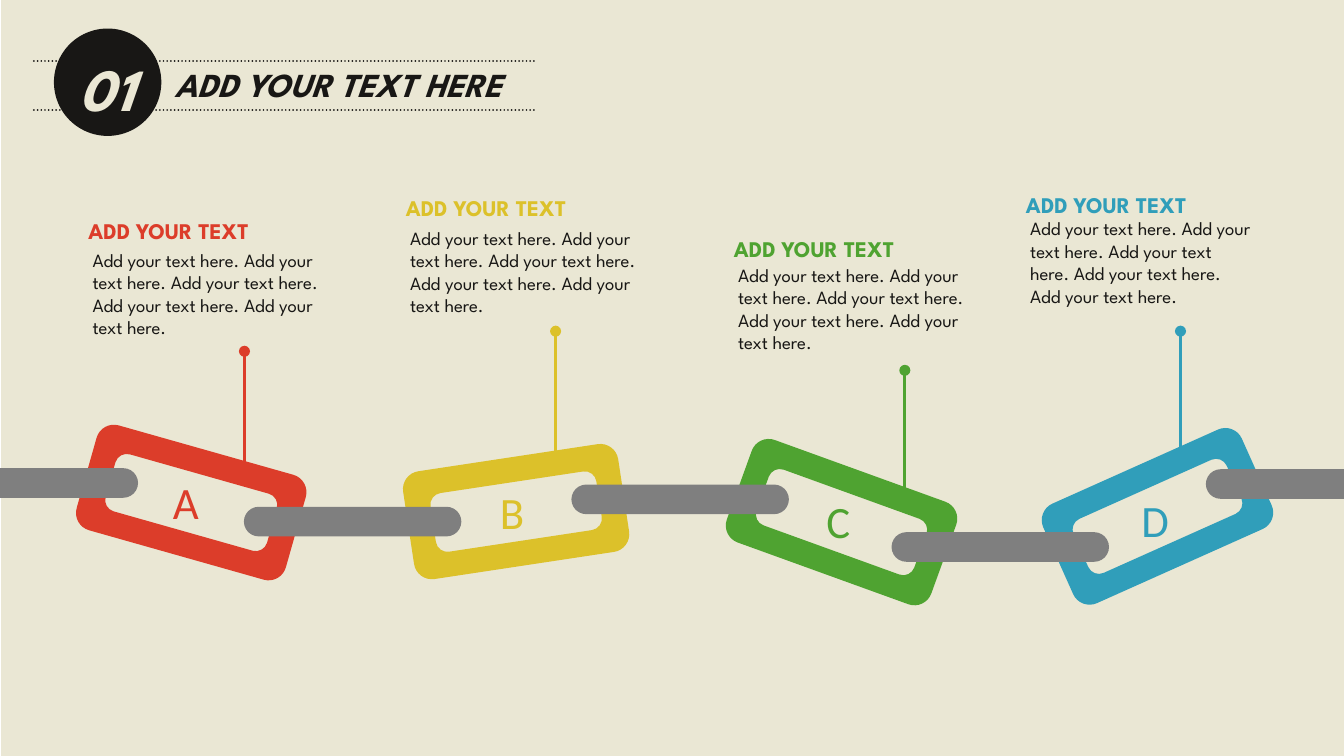
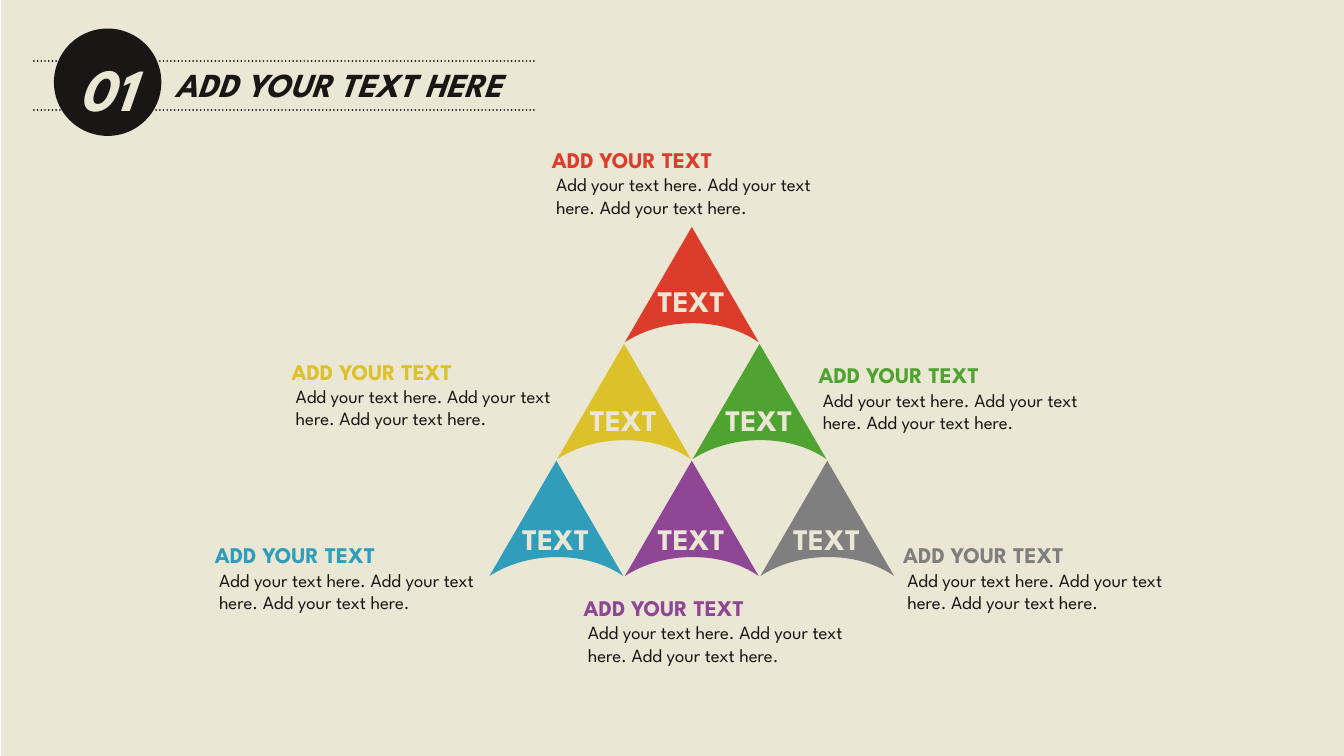
from lxml import etree
from pptx import Presentation
from pptx import util as u
from pptx.dml.color import RGBColor
from pptx.enum import dml, shapes, text
from pptx.oxml import ns

COLORS = {
    "paper": "EAE7D4", "ink": "181715", "red": "DC3D2A", "yellow": "DCC12A",
    "green": "4FA331", "blue": "309EBA", "purple": "8F4695", "grey": "7F7F7F",
}
SLIDE_SIZE = (25.4, 14.29)
SENTENCE = "Add your text here."

LINK_SIZE = (4.11, 2.06)
LINK_THICKNESS = 0.47
BAR_SIZE = (4.11, 0.56)
PIN_LENGTH = 2.39
# letter, colour, link position, rotation, letter position, pin top, heading position, body top and width
LINKS = [
    ("A", "red", (1.56, 8.47), 15.8, (3.02, 8.84), (4.62, 6.64), (1.42, 3.98), 4.58, 5.26),
    ("B", "yellow", (7.7, 8.64), 351.4, (9.2, 9.03), (10.5, 6.26), (7.42, 3.55), 4.16, 5.16),
    ("C", "green", (13.85, 8.84), 19.9, (15.37, 9.21), (17.1, 7), (13.62, 4.32), 4.86, 5.21),
    ("D", "blue", (19.82, 8.73), 335.9, (21.32, 9.18), (22.31, 6.26), (19.14, 3.48), 3.98, 4.7),
]
BARS = [(-1.5, 8.85), (4.61, 9.58), (10.8, 9.16), (16.85, 10.06), (22.79, 8.87)]

TRIANGLE_SIZE = (2.53, 2.18)
TRIANGLE_TOP = (11.81, 4.29)
TRIANGLE_STEP = (2.56, 2.21)
PYRAMID = [["red"], ["yellow", "green"], ["blue", "purple", "grey"]]
PYRAMID_CAPTIONS = [
    ("red", 10.18, 2.64), ("yellow", 5.26, 6.64), ("green", 15.22, 6.71),
    ("blue", 3.81, 10.11), ("purple", 10.78, 11.11), ("grey", 16.82, 10.11),
]


def rounded_outline(left, top, width, height, radius):
    """Rounded rectangle: a start point, then lines (one point) and curves (three)."""
    right, bottom = left + width, top + height
    near, far = radius, radius * 0.45
    corners = [
        ((right, top), (-1, 0), (0, 1)), ((right, bottom), (0, -1), (-1, 0)),
        ((left, bottom), (1, 0), (0, -1)), ((left, top), (0, 1), (1, 0)),
    ]
    outline = [[(left + radius, top)]]
    for (x, y), (in_x, in_y), (out_x, out_y) in corners:
        outline.append([(x + in_x * near, y + in_y * near)])
        outline.append([
            (x + in_x * far, y + in_y * far),
            (x + out_x * far, y + out_y * far),
            (x + out_x * near, y + out_y * near),
        ])
    return outline


def link_outlines(left, top):
    width, height = LINK_SIZE
    edge = LINK_THICKNESS
    return [
        rounded_outline(left, top, width, height, 0.34),
        rounded_outline(left + edge, top + edge, width - 2 * edge, height - 2 * edge, 0.22),
    ]


def triangle_outline(left, top):
    """Triangle whose base is arched inwards."""
    width, height = TRIANGLE_SIZE
    arch = top + height * 0.78
    start = (left, top + height)
    return [
        [start],
        [(left + width / 2, top)],
        [(left + width, top + height)],
        [(left + width * 0.73, arch), (left + width * 0.29, arch), start],
    ]


class Painter:
    font = "League Spartan"

    def __init__(self, deck):
        self.deck = deck
        self.slide = None

    def new_slide(self):
        self.slide = self.deck.slides.add_slide(self.deck.slide_layouts[6])
        rectangle = shapes.MSO_SHAPE.RECTANGLE
        self.shape(rectangle, (0.02, 0), (SLIDE_SIZE[0] - 0.02, SLIDE_SIZE[1]), "paper")
        for y in (1.15, 2.08):
            rule = self.line((0.64, y), (10.1, y), "ink", 1)
            rule.line.dash_style = dml.MSO_LINE.ROUND_DOT
            rule.line._get_or_add_ln().set("cap", "rnd")
        self.shape(shapes.MSO_SHAPE.OVAL, (1.02, 0.54), (2.03, 2.03), "ink")
        self.text("ADD YOUR TEXT HERE", (3.05, 1.09), (6.83, 1.02), 18, "ink", bold=True, italic=True)
        self.text("01", (1.24, 0.86), (1.75, 1.63), 32, "paper", bold=True, italic=True)

    def paint(self, shape, color):
        shape.shadow.inherit = False
        shape.fill.solid()
        shape.fill.fore_color.rgb = RGBColor.from_string(COLORS[color])
        shape.line.fill.background()
        return shape

    def shape(self, kind, position, size, color):
        shape = self.slide.shapes.add_shape(kind, *map(u.Cm, position + size))
        return self.paint(shape, color)

    def freeform(self, outlines, color):
        """Fill closed outlines; an outline inside another cuts a hole."""
        builder = None
        for outline in outlines:
            points = [(u.Cm(x), u.Cm(y)) for step in outline for x, y in step]
            if builder is None:
                builder = self.slide.shapes.build_freeform(*points[0])
            else:
                builder.move_to(*points[0])
            builder.add_line_segments(points[1:], close=False)
        shape = builder.convert_to_shape()
        self.bend(shape, outlines)
        return self.paint(shape, color)

    def bend(self, shape, outlines):
        """Join the three segments of each curve into one cubic and close the outlines."""
        track = shape._element.find(".//" + ns.qn("a:path"))
        segments = iter(list(track))
        for outline in outlines:
            for step in outline:
                parts = [next(segments) for _ in step]
                last = parts[0]
                if len(parts) == 3:
                    last = etree.Element(ns.qn("a:cubicBezTo"))
                    parts[0].addprevious(last)
                    for part in parts:
                        last.append(part[0])
                        track.remove(part)
            last.addnext(etree.Element(ns.qn("a:close")))

    def line(self, start, end, color, width, dot=False):
        straight = shapes.MSO_CONNECTOR.STRAIGHT
        line = self.slide.shapes.add_connector(straight, *map(u.Cm, start + end))
        line.line.color.rgb = RGBColor.from_string(COLORS[color])
        line.line.width = u.Pt(width)
        if dot:
            etree.SubElement(line.line._get_or_add_ln(), ns.qn("a:headEnd"), type="oval")
        etree.SubElement(line._element.spPr, ns.qn("a:effectLst"))
        return line

    def text(self, words, position, size, points, color,
             bold=False, italic=False, wrap=False, font=None):
        box = self.slide.shapes.add_textbox(*map(u.Cm, position + size))
        frame = box.text_frame
        frame.word_wrap = wrap
        frame.auto_size = text.MSO_AUTO_SIZE.SHAPE_TO_FIT_TEXT
        para = frame.paragraphs[0]
        para.text = words
        para.font.name = font or self.font
        para.font.size = u.Pt(points)
        para.font.bold = bold
        para.font.italic = italic
        para.font.color.rgb = RGBColor.from_string(COLORS[color])

    def caption(self, color, position, body_top, body_size, sentences):
        """A coloured heading with a short body text under it."""
        self.text("ADD YOUR TEXT", position, (3.86, 0.76), 12, color, bold=True)
        body = " ".join([SENTENCE] * sentences)
        self.text(body, (position[0] + 0.08, body_top), body_size, 10, "ink", wrap=True)


def chain_slide(painter):
    painter.new_slide()
    for _, color, position, rotation, *_ in LINKS:
        painter.freeform(link_outlines(*position), color).rotation = rotation
    for position in BARS:
        bar = painter.shape(shapes.MSO_SHAPE.ROUNDED_RECTANGLE, position, BAR_SIZE, "grey")
        bar.adjustments[0] = 0.5
    for letter, color, _, _, letter_at, pin, heading, body_top, body_width in LINKS:
        painter.line(pin, (pin[0], pin[1] + PIN_LENGTH), color, 1.5, dot=True)
        painter.caption(color, heading, body_top, (body_width, 1.96), 5)
        painter.text(letter, letter_at, (1.04, 1.27), 24, color, font="Calibri")


def pyramid_slide(painter):
    painter.new_slide()
    for row, colors in enumerate(PYRAMID):
        for column, color in enumerate(colors):
            left = TRIANGLE_TOP[0] + (column - row / 2) * TRIANGLE_STEP[0]
            top = TRIANGLE_TOP[1] + row * TRIANGLE_STEP[1]
            painter.freeform([triangle_outline(left, top)], color)
            painter.text("TEXT", (left + 0.37, 5.21 + row * 2.25), (1.85, 0.94), 16, "paper", bold=True)
    for color, left, top in PYRAMID_CAPTIONS:
        painter.caption(color, (left, top), top + 0.51, (5.61, 1.12), 3)


def main():
    deck = Presentation()
    deck.slide_width, deck.slide_height = map(u.Cm, SLIDE_SIZE)
    painter = Painter(deck)
    chain_slide(painter)
    pyramid_slide(painter)
    deck.save("out.pptx")


if __name__ == "__main__":
    main()
